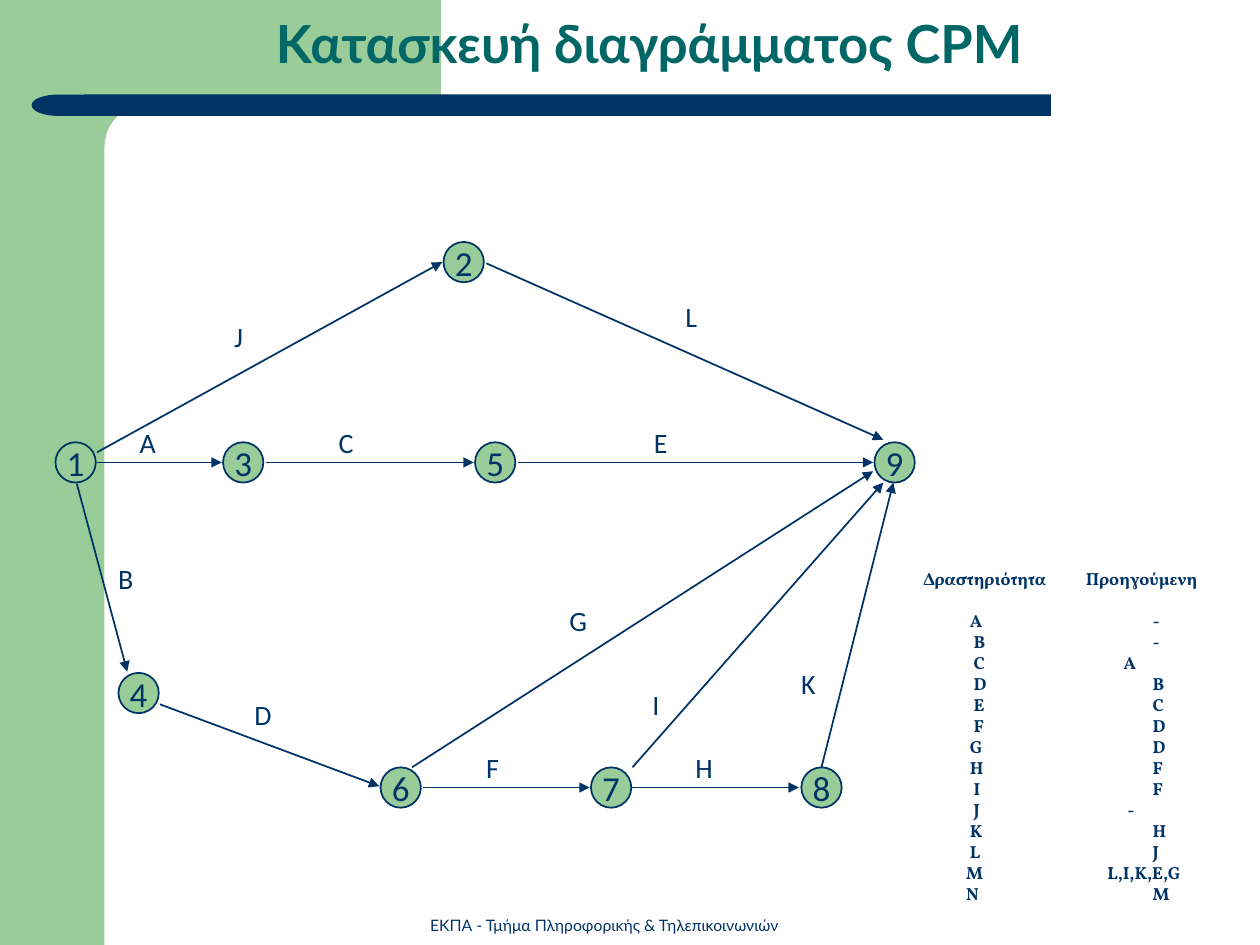
from dataclasses import dataclass

from lxml import etree
from pptx import Presentation
from pptx.dml.color import RGBColor
from pptx.enum.shapes import MSO_CONNECTOR, MSO_SHAPE
from pptx.enum.text import MSO_ANCHOR, MSO_AUTO_SIZE, PP_ALIGN
from pptx.oxml.ns import qn
from pptx.util import Inches, Pt

RECT, ROUNDED = MSO_SHAPE.RECTANGLE, MSO_SHAPE.ROUNDED_RECTANGLE
OVAL, DELAY = MSO_SHAPE.OVAL, MSO_SHAPE.FLOWCHART_DELAY
STRAIGHT = MSO_CONNECTOR.STRAIGHT
LEFT, CENTER = PP_ALIGN.LEFT, PP_ALIGN.CENTER
TOP, MIDDLE, BOTTOM = MSO_ANCHOR.TOP, MSO_ANCHOR.MIDDLE, MSO_ANCHOR.BOTTOM
NO_AUTOSIZE = MSO_AUTO_SIZE.NONE

COLORS = {"green": "99CC99", "navy": "003366", "teal": "006666", "white": "FFFFFF"}
NODE_SIZE = 0.32
LABEL_HEIGHT = 0.36


@dataclass
class Node:
    number: int
    left: float
    top: float


@dataclass
class Activity:
    name: str
    start: tuple[float, float]
    end: tuple[float, float]
    label_at: tuple[float, float]
    label_width: float


@dataclass
class Row:
    activity: str
    previous: str
    first_tab: float = 0.58
    second_tab: float = 2.0


NODES = [
    Node(1, 0.44, 3.51), Node(3, 1.77, 3.51), Node(5, 3.77, 3.51), Node(9, 6.94, 3.51),
    Node(2, 3.52, 1.92), Node(4, 0.94, 5.34),
    Node(6, 3.02, 6.09), Node(7, 4.69, 6.09), Node(8, 6.36, 6.09),
]

ACTIVITIES = [
    Activity("A", (0.77, 3.67), (1.76, 3.67), (1.01, 3.33), 0.34),
    Activity("B", (0.61, 3.84), (1.01, 5.33), (0.84, 4.41), 0.34),
    Activity("C", (2.11, 3.67), (3.76, 3.67), (2.59, 3.33), 0.34),
    Activity("D", (1.27, 5.59), (3.01, 6.24), (1.92, 5.49), 0.36),
    Activity("E", (4.11, 3.67), (6.93, 3.67), (5.09, 3.33), 0.32),
    Activity("F", (3.36, 6.25), (4.68, 6.25), (3.76, 5.91), 0.31),
    Activity("G", (3.27, 6.09), (6.93, 3.74), (4.42, 4.74), 0.36),
    Activity("H", (5.02, 6.25), (6.34, 6.25), (5.42, 5.91), 0.36),
    Activity("I", (5.02, 6.09), (7.01, 3.83), (5.08, 5.41), 0.27),
    Activity("J", (0.77, 3.59), (3.51, 2.08), (1.76, 2.49), 0.26),
    Activity("K", (6.52, 6.09), (7.09, 3.83), (6.26, 5.24), 0.34),
    Activity("L", (3.86, 2.09), (7.01, 3.49), (5.34, 2.33), 0.31),
]

ROWS = [
    Row("Δραστηριότητα", "Προηγούμενη", 0.18, 1.47),
    Row("A", "-", 0.55), Row("B", "-"), Row("C", "A", second_tab=1.77),
    Row("D", "B"), Row("E", "C"), Row("F", "D"), Row("G", "D", 0.55),
    Row("H", "F", 0.55), Row("I", "F"), Row("J", "-", second_tab=1.8),
    Row("K", "H", 0.55), Row("L", "J", 0.55),
    Row("M", "L,I,K,E,G", 0.52, 1.64), Row("N", "M", 0.52),
]


def rgb(name: str) -> RGBColor:
    return RGBColor.from_string(COLORS[name])


def style_paragraph(p, size, font, color="navy", bold=False, align=LEFT) -> None:
    p.alignment = align
    for r in p.runs:
        r.font.size, r.font.name, r.font.bold = Pt(size), font, bold
        r.font.color.rgb = rgb(color)


def add_block(slide, kind, left, top, width, height, fill, line=None):
    sp = slide.shapes.add_shape(kind, Inches(left), Inches(top), Inches(width), Inches(height))
    sp.shadow.inherit = False
    sp.fill.solid()
    sp.fill.fore_color.rgb = rgb(fill)
    if line:
        sp.line.color.rgb = rgb(line)
        sp.line.width = Pt(1)
    else:
        sp.line.fill.background()
    return sp


def add_text_box(slide, left, top, width, height, wrap=True, anchor=TOP):
    box = slide.shapes.add_textbox(Inches(left), Inches(top), Inches(width), Inches(height))
    box.text_frame.word_wrap = wrap
    box.text_frame.vertical_anchor = anchor
    return box.text_frame


def add_node(slide, node: Node) -> None:
    sp = add_block(slide, OVAL, node.left, node.top, NODE_SIZE, NODE_SIZE, "green", "navy")
    tf = sp.text_frame
    tf.text = str(node.number)
    tf.word_wrap = False
    tf.vertical_anchor = MIDDLE
    style_paragraph(tf.paragraphs[0], 20, "Calibri", align=CENTER)


def add_activity(slide, activity: Activity) -> None:
    ends = [Inches(v) for v in (*activity.start, *activity.end)]
    arrow = slide.shapes.add_connector(STRAIGHT, *ends)
    arrow.line.color.rgb = rgb("navy")
    arrow.line.width = Pt(1)
    etree.SubElement(arrow.line._get_or_add_ln(), qn("a:tailEnd"), type="triangle")
    etree.SubElement(arrow._element.spPr, qn("a:effectLst"))
    tf = add_text_box(slide, *activity.label_at, activity.label_width, LABEL_HEIGHT, wrap=False)
    tf.text = activity.name
    style_paragraph(tf.paragraphs[0], 16, "Calibri")


def add_row(p, row: Row) -> None:
    tabs = etree.SubElement(p._p.get_or_add_pPr(), qn("a:tabLst"))
    for stop in (row.first_tab, row.second_tab):
        etree.SubElement(tabs, qn("a:tab"), pos=str(Inches(stop)), algn="l")
    p.text = f"\t{row.activity}\t{row.previous}"
    p.line_spacing = Pt(12)
    style_paragraph(p, 10, "Vollkorn", bold=True)


def main() -> None:
    prs = Presentation()
    prs.slide_width, prs.slide_height = Inches(10), Inches(7.5)
    slide = prs.slides.add_slide(prs.slide_layouts[5])

    # Backdrop: green corner, rounded white cut-out and navy bar
    add_block(slide, RECT, 0, 0, 0.83, 7.5, "green")
    add_block(slide, RECT, 0.75, 0, 2.75, 1.17, "green")
    add_block(slide, ROUNDED, 0.83, 0.83, 5.58, 0.67, "white").adjustments[0] = 0.5
    add_block(slide, RECT, 0.67, 0.75, 7.67, 0.17, "navy")
    add_block(slide, DELAY, 0.25, 0.75, 0.43, 0.17, "navy").rotation = 180

    # Title, brought in front of the backdrop
    title = slide.shapes.title
    title.left, title.top = Inches(0.9), Inches(0)
    title.width, title.height = Inches(8.51), Inches(0.67)
    tf = title.text_frame
    tf.text = "Κατασκευή διαγράμματος CPM"
    tf.auto_size = NO_AUTOSIZE
    tf.vertical_anchor = MIDDLE
    style_paragraph(tf.paragraphs[0], 30, "Lato", "teal", True, CENTER)
    slide.shapes._spTree.append(title._element)

    # Footer
    tf = add_text_box(slide, 3.21, 7.22, 3.17, 0.25, anchor=BOTTOM)
    tf.text = "ΕΚΠΑ - Τμήμα Πληροφορικής & Τηλεπικοινωνιών"
    style_paragraph(tf.paragraphs[0], 9, "Lato", align=CENTER)

    # Network diagram
    for node in NODES:
        add_node(slide, node)
    for activity in ACTIVITIES:
        add_activity(slide, activity)

    # List of activities and their predecessors
    tf = add_text_box(slide, 7.05, 4.46, 2.76, 2.77)
    for i, row in enumerate(ROWS):
        add_row(tf.add_paragraph() if i else tf.paragraphs[0], row)
    tf.paragraphs[0].space_after = Pt(12)

    prs.save("out.pptx")


if __name__ == "__main__":
    main()
